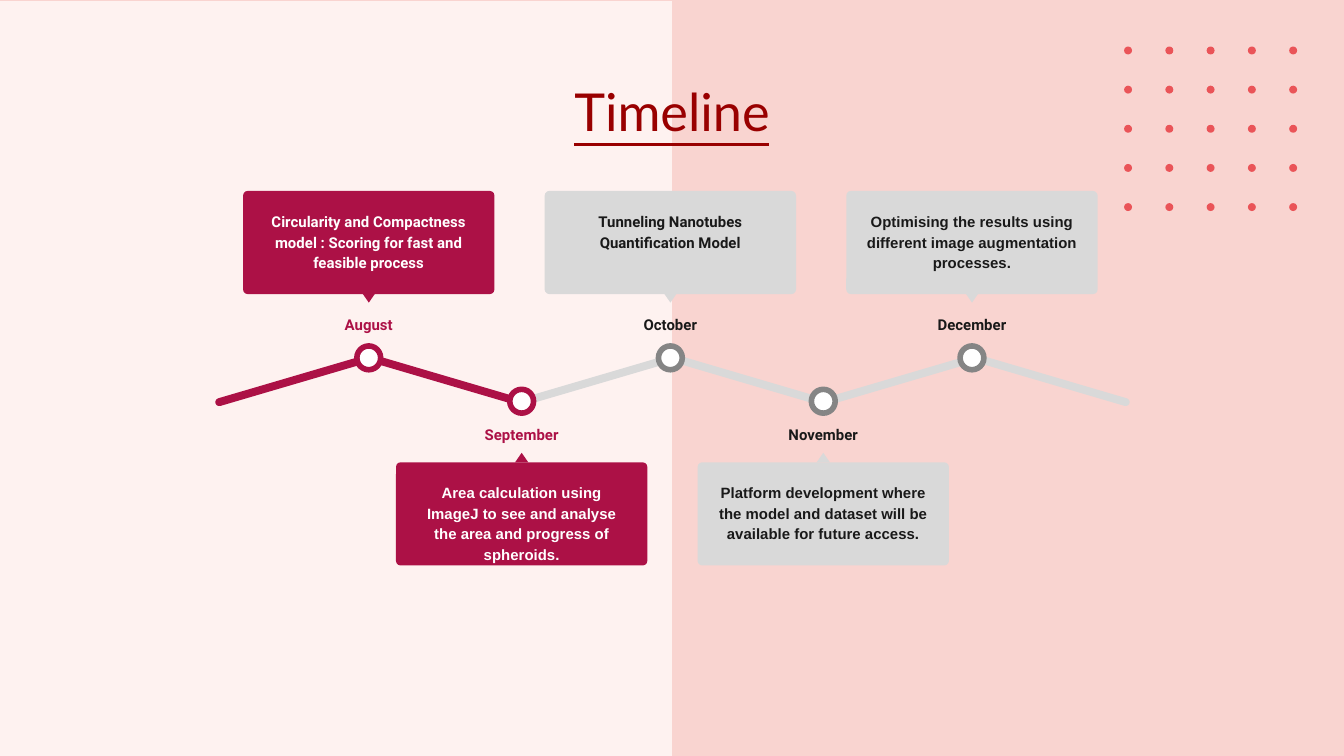
"""Build a timeline slide with five monthly milestones on a zigzag path."""
from itertools import product

from pptx import Presentation
from pptx.dml.color import RGBColor
from pptx.enum.shapes import MSO_SHAPE as Kind
from pptx.enum.text import MSO_ANCHOR as Anchor, PP_ALIGN as Align
from pptx.util import Cm, Pt

PINK = RGBColor(0xF9, 0xD4, 0xD0)
CREAM = RGBColor(0xFE, 0xF2, 0xF0)
CORAL = RGBColor(0xEA, 0x54, 0x58)
MAROON = RGBColor(0x99, 0x00, 0x00)
WINE = RGBColor(0xAC, 0x11, 0x46)
SILVER = RGBColor(0xD9, 0xD9, 0xD9)
GRAY = RGBColor(0x85, 0x85, 0x85)
INK = RGBColor(0x19, 0x19, 0x19)
WHITE = RGBColor(0xFF, 0xFF, 0xFF)

DONE = {"fill": WINE, "ring": WINE, "label": WINE, "body": WHITE}
NEXT = {"fill": SILVER, "ring": GRAY, "label": INK, "body": INK}
HIGH = {"box": 3.61, "tip": 5.54, "label": 5.72, "ring": 6.76, "turn": 180}
LOW = {"box": 8.74, "tip": 8.56, "label": 7.8, "ring": 7.58, "turn": 0}
STEP = 5.7

STAGES = [
    ("August", 6.97, HIGH, DONE, "Roboto",
     "Circularity and Compactness model : Scoring for fast and feasible process"),
    ("September", 9.86, LOW, DONE, "Arial",
     "Area calculation using ImageJ to see and analyse the area and progress of spheroids."),
    ("October", 6.97 + STEP, HIGH, NEXT, "Roboto",
     "Tunneling Nanotubes Quantification Model"),
    ("November", 9.86 + STEP, LOW, NEXT, "Arial",
     "Platform development where the model and dataset will be available for future access."),
    ("December", 6.97 + 2 * STEP, HIGH, NEXT, "Arial",
     "Optimising the results using different image augmentation processes."),
]


def add_form(shapes, kind, mid, top, wide, high, fill, turn=0, adj=None):
    """Add a filled shape centred on mid, without outline or shadow."""
    form = shapes.add_shape(kind, Cm(mid - wide / 2), Cm(top), Cm(wide), Cm(high))
    form.shadow.inherit = False
    form.fill.solid()
    form.fill.fore_color.rgb = fill
    form.line.fill.background()
    form.rotation = turn
    if adj is not None:
        form.adjustments[0] = adj
    return form


def add_text(shapes, text, mid, top, wide, high, color, gap=1.0, **font):
    """Add a centred text box and apply its font values."""
    frame = shapes.add_textbox(
        Cm(mid - wide / 2), Cm(top), Cm(wide), Cm(high)).text_frame
    look = {"word_wrap": True, "vertical_anchor": Anchor.TOP}
    for side in ("left", "right", "top", "bottom"):
        look[f"margin_{side}"] = Cm(0.25)
    for key, value in look.items():
        setattr(frame, key, value)
    para = frame.paragraphs[0]
    para.alignment = Align.CENTER
    para.line_spacing = gap
    run = para.add_run()
    run.text = text
    for key, value in font.items():
        setattr(run.font, key, value)
    run.font.color.rgb = color


def add_dots(shapes):
    """Add the five by five grid of dots."""
    grid = shapes.add_group_shape().shapes
    for col, row in product(range(5), repeat=2):
        add_form(grid, Kind.OVAL, 21.32 + 0.78 * col, 0.88 + 0.74 * row,
                 0.15, 0.15, CORAL)


def add_track(shapes):
    """Add the zigzag of six bars, the last one at the back."""
    for i in reversed(range(6)):
        add_form(shapes, Kind.ROUNDED_RECTANGLE, 5.56 + 2.86 * i, 7.11, 3.1, 0.15,
                 WINE if i < 2 else SILVER, 16.4 if i % 2 else -16.4, 0.5)


def add_stage(shapes, month, mid, row, tint, face, text):
    """Add one milestone: card, pointer, month and ring."""
    part = shapes.add_group_shape().shapes
    font = {"size": Pt(8), "bold": True, "gap": 1.15}
    add_form(part, Kind.ROUNDED_RECTANGLE, mid, row["box"], 4.75, 1.95,
             tint["fill"], adj=0.045)
    add_form(part, Kind.ISOSCELES_TRIANGLE, mid, row["tip"], 0.25, 0.18,
             tint["fill"], row["turn"])
    add_text(part, text, mid, row["box"] + 0.11, 4.52, 1.73, tint["body"],
             name=face, **font)
    add_text(part, month, mid, row["label"], 1.93, 0.76, tint["label"],
             name="Roboto", **font)
    ring = add_form(part, Kind.OVAL, mid, row["ring"] - 0.22, 0.45, 0.45, WHITE)
    ring.line.color.rgb = tint["ring"]
    ring.line.width = Pt(3)


def main():
    """Build the slide and save it."""
    deck = Presentation()
    deck.slide_width, deck.slide_height = Cm(25.4), Cm(14.29)
    slide = deck.slides.add_slide(deck.slide_layouts[6])
    back = slide.background.fill
    back.solid()
    back.fore_color.rgb = PINK
    shapes = slide.shapes
    add_form(shapes, Kind.RECTANGLE, 6.35, 0.02, 12.7, 14.27, CREAM)
    add_dots(shapes)
    add_text(shapes, "Timeline", 12.7, 1.24, 21.4, 1.6, MAROON,
             name="Lato", size=Pt(28), underline=True)
    add_track(shapes)
    for stage in STAGES:
        add_stage(shapes, *stage)
    deck.save("out.pptx")


if __name__ == "__main__":
    main()
